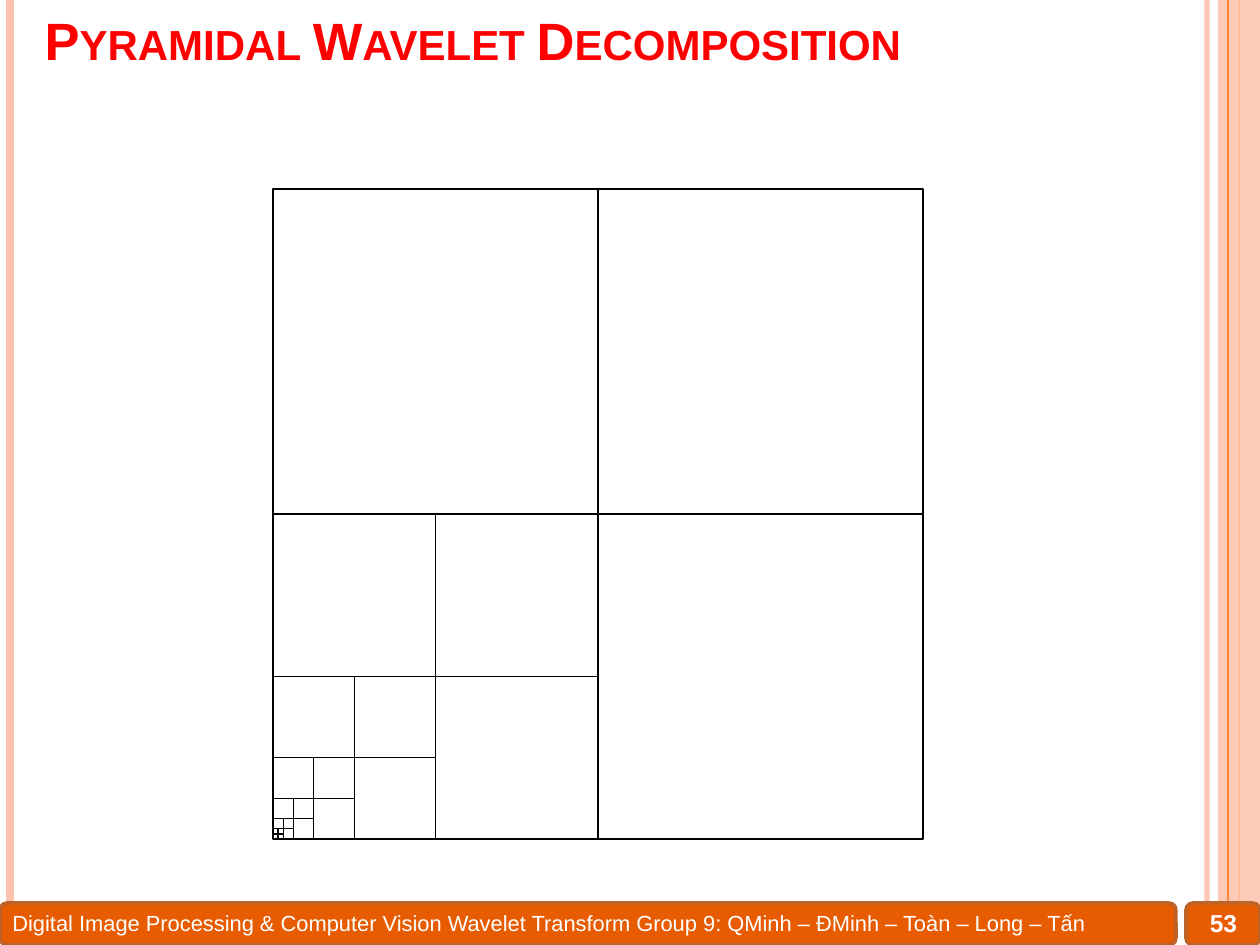
from dataclasses import dataclass
from typing import Optional

from lxml.etree import SubElement
from pptx import Presentation
from pptx.dml.color import RGBColor
from pptx.enum.shapes import MSO_CONNECTOR, MSO_SHAPE
from pptx.enum.text import MSO_ANCHOR, MSO_AUTO_SIZE, PP_ALIGN
from pptx.oxml.ns import qn
from pptx.util import Emu, Pt

PX = 914400 / 126
WIDTH, HEIGHT = 1260, 945
FONT = "Arial"

BLACK = RGBColor(0x00, 0x00, 0x00)
WHITE = RGBColor(0xFF, 0xFF, 0xFF)
RED = RGBColor(0xFF, 0x00, 0x00)
PEACH = RGBColor(0xFE, 0xC3, 0xAE)
ORANGE = RGBColor(0xFE, 0x86, 0x37)
BAR_FILL = RGBColor(0xE7, 0x5C, 0x01)
BAR_EDGE = RGBColor(0xBC, 0x63, 0x29)


@dataclass
class Box:
    left: float
    top: float
    width: float
    height: float

    def emu(self) -> list[Emu]:
        return [px(n) for n in (self.left, self.top, self.width, self.height)]


@dataclass
class Stripe:
    x: int
    points: float
    color: RGBColor
    opacity: int = 100


def px(length: float) -> Emu:
    return Emu(round(length * PX))


def set_opacity(fill_parent, percent: int) -> None:
    color = fill_parent.find(qn("a:solidFill"))[0]
    SubElement(color, qn("a:alpha")).set("val", str(percent * 1000))


def add_line(shapes, x1: float, y1: float, x2: float, y2: float,
             color: RGBColor = BLACK, points: float = 0.75, opacity: int = 100) -> None:
    connector = shapes.add_connector(MSO_CONNECTOR.STRAIGHT, px(x1), px(y1), px(x2), px(y2))
    connector.line.color.rgb = color
    connector.line.width = Pt(points)
    properties = connector._element.spPr
    if opacity < 100:
        set_opacity(properties.find(qn("a:ln")), opacity)
    SubElement(properties, qn("a:effectLst"))


def add_box(shapes, kind: MSO_SHAPE, box: Box, fill: Optional[RGBColor] = None,
            edge: Optional[RGBColor] = None, points: float = 0.75):
    shape = shapes.add_shape(kind, *box.emu())
    shape.shadow.inherit = False
    if fill is None:
        shape.fill.background()
    else:
        shape.fill.solid()
        shape.fill.fore_color.rgb = fill
    if edge is None:
        shape.line.fill.background()
    else:
        shape.line.color.rgb = edge
        shape.line.width = Pt(points)
    return shape


def write_text(shape, text: str, size: float, color: RGBColor, bold: bool = False,
               align: PP_ALIGN = PP_ALIGN.LEFT, anchor: MSO_ANCHOR = MSO_ANCHOR.TOP):
    frame = shape.text_frame
    frame.text = text
    frame.word_wrap = True
    frame.auto_size = MSO_AUTO_SIZE.NONE
    frame.vertical_anchor = anchor
    paragraph = frame.paragraphs[0]
    paragraph.alignment = align
    run = paragraph.runs[0]
    run.font.name = FONT
    run.font.size = Pt(size)
    run.font.bold = bold
    run.font.color.rgb = color
    return run


def add_stripe(shapes, stripe: Stripe) -> None:
    add_line(shapes, stripe.x, 0, stripe.x, HEIGHT, stripe.color, stripe.points, stripe.opacity)


def add_pyramid(shapes, square: Box, levels: int) -> None:
    """Split the lower left quarter again at each level."""
    add_box(shapes, MSO_SHAPE.RECTANGLE, square, edge=BLACK)
    left, bottom = square.left, square.top + square.height
    side = square.width
    for _ in range(levels):
        half = side / 2
        add_line(shapes, left + half, bottom - side, left + half, bottom)
        add_line(shapes, left, bottom - half, left + side, bottom - half)
        side = half


def main() -> None:
    presentation = Presentation()
    presentation.slide_width, presentation.slide_height = px(WIDTH), px(HEIGHT)
    slide = presentation.slides.add_slide(presentation.slide_layouts[5])
    shapes = slide.shapes

    # Side stripes
    for stripe in (Stripe(1207, 3, PEACH, 93), Stripe(10, 4.5, PEACH), Stripe(1239, 1.5, ORANGE)):
        add_stripe(shapes, stripe)
    band = add_box(shapes, MSO_SHAPE.RECTANGLE, Box(1218, 0, 42, HEIGHT), PEACH)
    set_opacity(band._element.spPr, 87)
    add_stripe(shapes, Stripe(1228, 0.75, ORANGE))

    # Footer bars, footer text and page number
    for bar in (Box(1186, 903, 74, 42), Box(0, 903, 1176, 42)):
        add_box(shapes, MSO_SHAPE.ROUNDED_RECTANGLE, bar, BAR_FILL, BAR_EDGE, 2)
    footer = shapes.add_textbox(*Box(0, 903, 1187, 39).emu())
    write_text(footer, "Digital Image Processing & Computer Vision Wavelet Transform "
               "Group 9: QMinh – ĐMinh – Toàn – Long – Tấn", 12.5, WHITE)
    number = shapes.add_textbox(*Box(1187, 903, 73, 40).emu())
    write_text(number, "53", 14, WHITE, True, PP_ALIGN.CENTER, MSO_ANCHOR.MIDDLE)

    # Title
    title = shapes.title
    title.left, title.top, title.width, title.height = Box(32, 10, 1165, 67).emu()
    run = write_text(title, "Pyramidal Wavelet Decomposition", 30, RED, True,
                     anchor=MSO_ANCHOR.BOTTOM)
    run.font._element.set("cap", "small")

    # Wavelet pyramid
    add_pyramid(shapes, Box(273, 189, 650, 650), levels=7)

    presentation.save("out.pptx")


if __name__ == "__main__":
    main()
